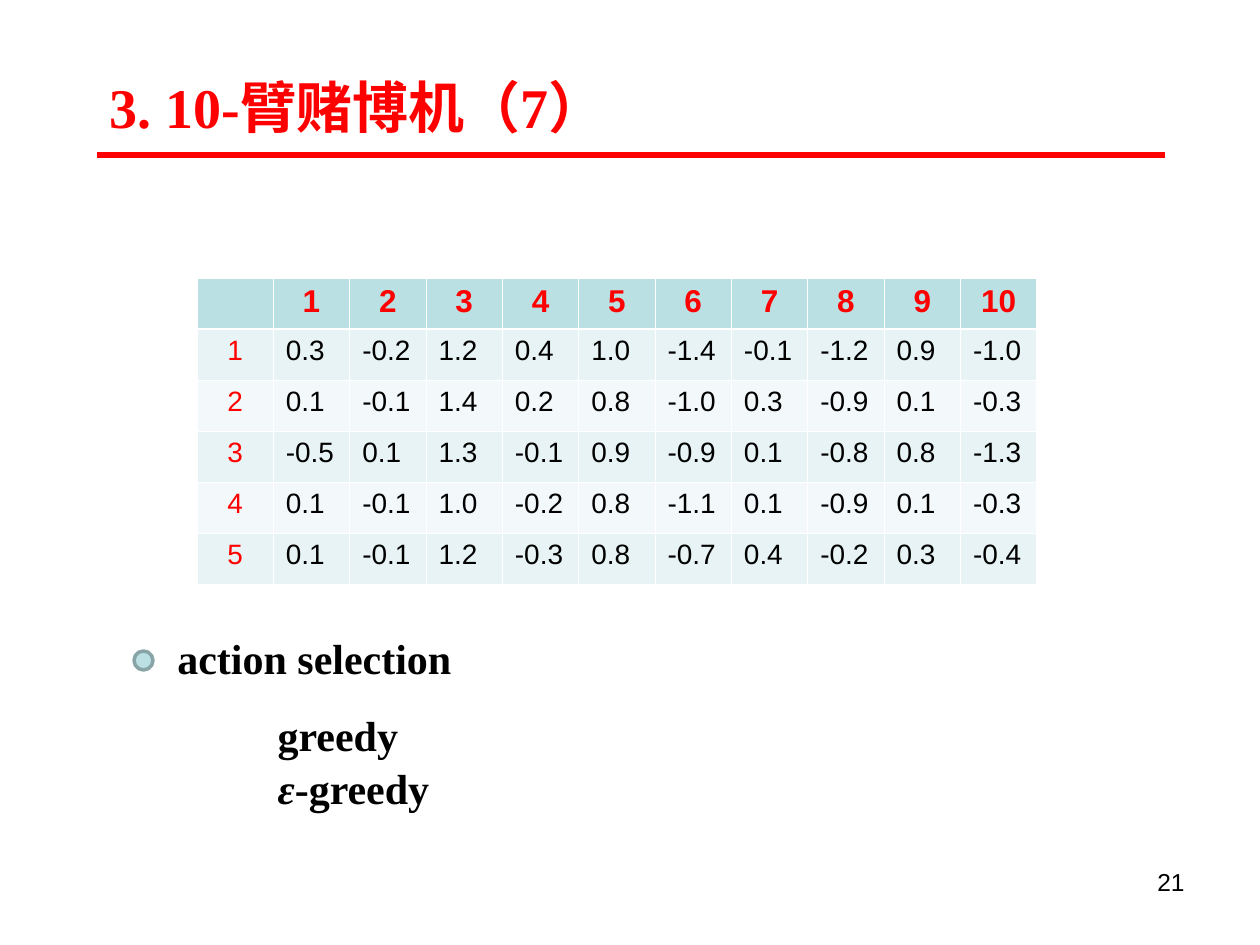
import pptx
import pptx.dml.color
import pptx.enum.shapes
import pptx.enum.text
import pptx.oxml
import pptx.oxml.ns
import pptx.util

PX = 914400 / 126
RED, BLACK, WHITE = "FF0000", "000000", "FFFFFF"
HEAD, BANDS = "BBE0E3", ("F3F9FA", "E7F3F4")
SERIF, SANS = "Times New Roman", "Arial"
ALIGN = pptx.enum.text.PP_ALIGN
ANCHOR = pptx.enum.text.MSO_ANCHOR
NS = pptx.oxml.ns.nsdecls("a")


def hue(code):
    return pptx.dml.color.RGBColor.from_string(code)


def write(para, text, size, face, code, bold=False, italic=False):
    """Add one formatted run to a paragraph."""
    run = para.add_run()
    run.text = text
    font = run.font
    font.size, font.name = pptx.util.Pt(size), face
    font.bold, font.italic = bold, italic
    font.color.rgb = hue(code)


deck = pptx.Presentation()
deck.slide_width, deck.slide_height = [round(n * PX) for n in (1260, 945)]
slide = deck.slides.add_slide(deck.slide_layouts[1])
shapes = slide.shapes

# Text frames
title, modes = shapes.title, slide.placeholders[1]
label = shapes.add_textbox(0, 0, 0, 0)
number = shapes.add_textbox(0, 0, 0, 0)
for box, place in (
    (title, (97, 66, 767, 81)),
    (label, (165, 626, 391, 63)),
    (modes, (265, 701, 391, 113)),
    (number, (903, 861, 294, 66)),
):
    box.left, box.top, box.width, box.height = [round(n * PX) for n in place]
    frame = box.text_frame
    frame.word_wrap = True
    frame.auto_size = pptx.enum.text.MSO_AUTO_SIZE.NONE
    frame.vertical_anchor = ANCHOR.TOP

para = title.text_frame.paragraphs[0]
para.alignment = ALIGN.LEFT
write(para, "3. 10-臂赌博机（7）", 32, SERIF, RED, True)

para = label.text_frame.paragraphs[0]
write(para, "action selection", 24, SERIF, BLACK, True)

para = number.text_frame.paragraphs[0]
para.alignment = ALIGN.RIGHT
write(para, "21", 14, SANS, BLACK)

frame = modes.text_frame
first, second = frame.paragraphs[0], frame.add_paragraph()
for para in (first, second):
    props = para._p.get_or_add_pPr()
    props.set("marL", "0")
    props.set("indent", "0")
    props.append(pptx.oxml.parse_xml(f"<a:buNone {NS}/>"))
    para.space_before = pptx.util.Pt(0)
    para.line_spacing = 1.05
write(first, "greedy", 24, SERIF, BLACK, True)
write(second, "ε", 24, SERIF, BLACK, True, True)
write(second, "-greedy", 24, SERIF, BLACK, True)

# Value table
rows = [
    [""] + [str(n) for n in range(1, 11)],
    "1 0.3 -0.2 1.2 0.4 1.0 -1.4 -0.1 -1.2 0.9 -1.0".split(),
    "2 0.1 -0.1 1.4 0.2 0.8 -1.0 0.3 -0.9 0.1 -0.3".split(),
    "3 -0.5 0.1 1.3 -0.1 0.9 -0.9 0.1 -0.8 0.8 -1.3".split(),
    "4 0.1 -0.1 1.0 -0.2 0.8 -1.1 0.1 -0.9 0.1 -0.3".split(),
    "5 0.1 -0.1 1.2 -0.3 0.8 -0.7 0.4 -0.2 0.3 -0.4".split(),
]
place = [round(n * PX) for n in (197, 278, 840, 306)]
table = shapes.add_table(len(rows), len(rows[0]), *place).table
for r, row in enumerate(rows):
    for c, text in enumerate(row):
        cell = table.cell(r, c)
        props = cell._tc.get_or_add_tcPr()
        for side in "LRTB":
            thick = (r, side) in ((0, "B"), (1, "T"))
            wide = pptx.util.Pt(1.47 if thick else 0.45)
            props.append(pptx.oxml.parse_xml(
                f'<a:ln{side} {NS} w="{wide}"><a:solidFill>'
                f'<a:srgbClr val="{WHITE}"/></a:solidFill></a:ln{side}>'))
        cell.fill.solid()
        cell.fill.fore_color.rgb = hue(BANDS[r % 2] if r else HEAD)
        edge = r == 0 or c == 0
        para = cell.text_frame.paragraphs[0]
        para.alignment = ALIGN.CENTER if edge else ALIGN.LEFT
        if text:
            write(para, text, 16 if r else 18, SANS, RED if edge else BLACK, r == 0)

# Bullet dot and title rule
place = [round(n * PX) for n in (134, 651, 19, 19)]
dot = shapes.add_shape(pptx.enum.shapes.MSO_SHAPE.OVAL, *place)
dot.shadow.inherit = False
dot.fill.solid()
dot.fill.fore_color.rgb = hue(HEAD)
dot.line.color.rgb = hue("89A4A7")
dot.line.width = pptx.util.Pt(2)

ends = [round(n * PX) for n in (97, 155, 1165, 155)]
rule = shapes.add_connector(pptx.enum.shapes.MSO_CONNECTOR.STRAIGHT, *ends)
rule.line.color.rgb = hue(RED)
rule.line.width = pptx.util.Pt(3)
rule._element.spPr.append(pptx.oxml.parse_xml(f"<a:effectLst {NS}/>"))

deck.save("out.pptx")
